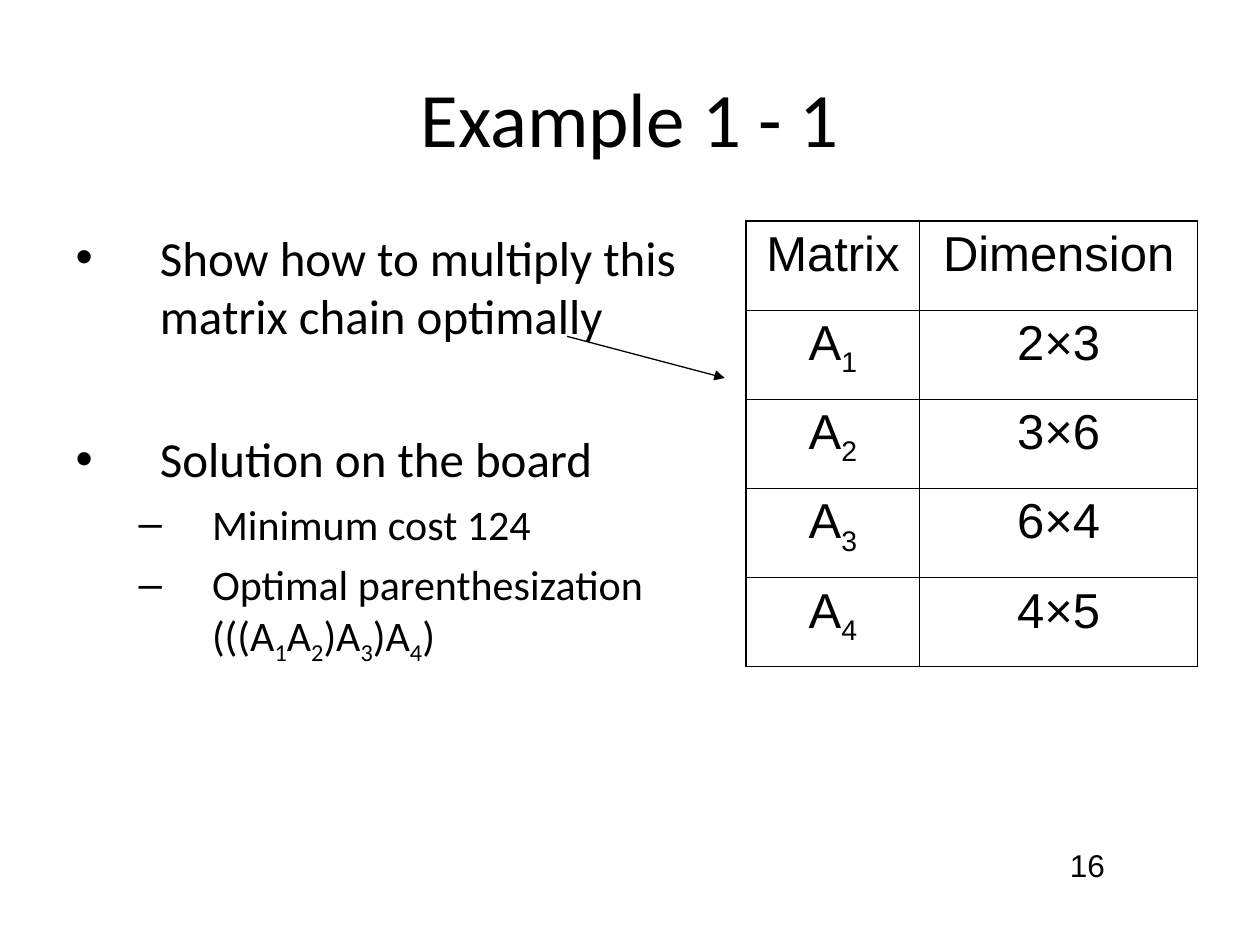
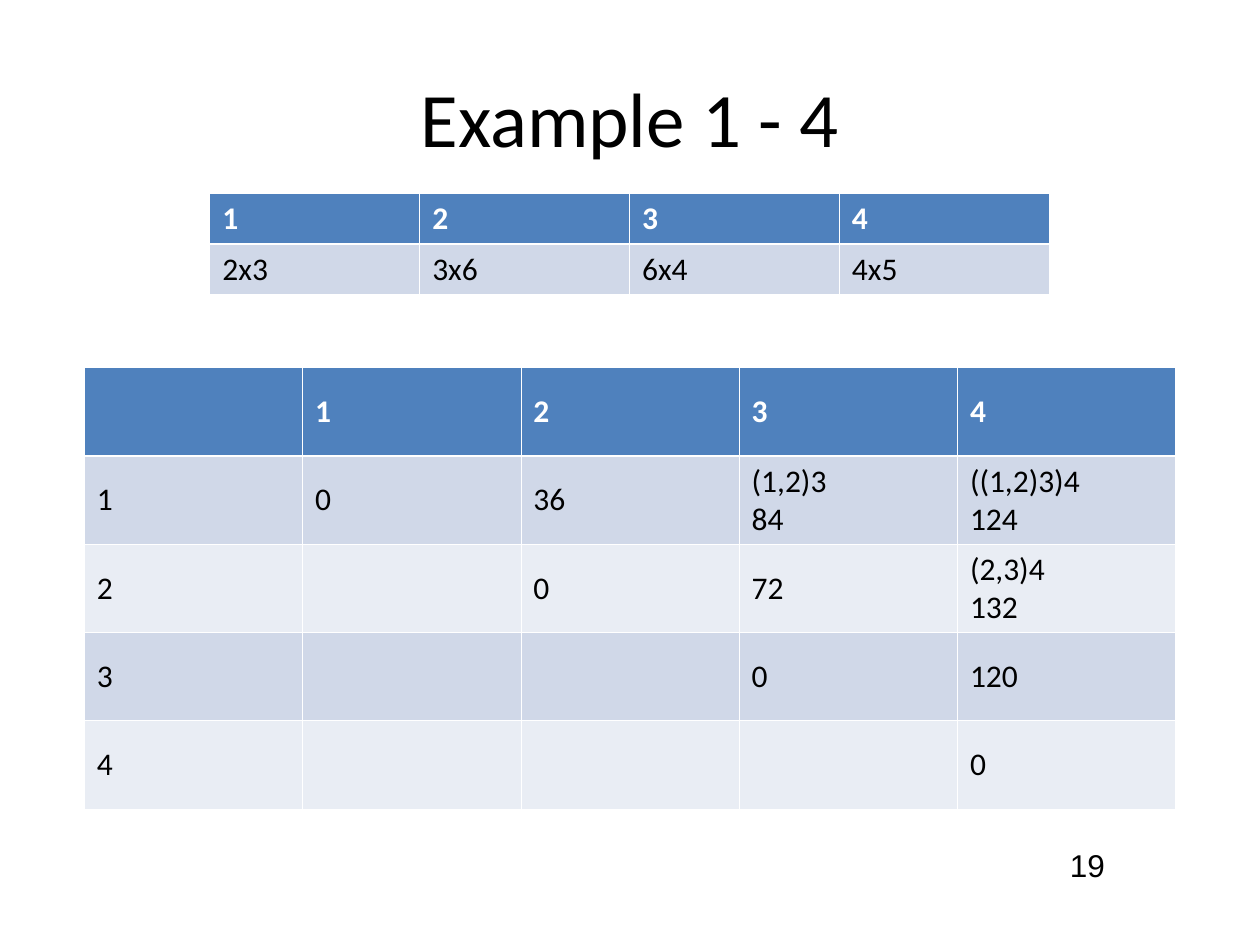
from dataclasses import dataclass
from lxml.etree import SubElement as Sub
from pptx import Presentation
from pptx.dml.color import RGBColor as Rgb
from pptx.enum.shapes import MSO_CONNECTOR as Link
from pptx.enum.text import MSO_ANCHOR as Anchor, MSO_AUTO_SIZE as Fit, PP_ALIGN as Align
from pptx.oxml.ns import qn
from pptx.util import Cm, Pt


@dataclass(frozen=True)
class Theme:
    black: Rgb = Rgb(0, 0, 0)
    white: Rgb = Rgb(255, 255, 255)
    blue: Rgb = Rgb.from_string("4F81BD")
    dark: Rgb = Rgb.from_string("D0D8E8")
    pale: Rgb = Rgb.from_string("E9EDF4")
    text: str = "Calibri"
    plain: str = "Arial"
    title: int = 44
    list: int = 28
    sub: int = 24
    small: int = 18


look = Theme()


def write(para, text, size, name=look.text, color=look.black, bold=False):
    """Add text to a paragraph; the character after each "_" is lowered."""
    head, *tail = text.split("_")
    parts = [(head, False)]
    for part in tail:
        parts += [(part[0], True), (part[1:], False)]
    for part, low in parts:
        if not part:
            continue
        run = para.add_run()
        run.text = part
        form = {"size": Pt(size), "name": name, "bold": bold}
        for key, value in form.items():
            setattr(run.font, key, value)
        run.font.color.rgb = color
        if low:
            run.font._element.set("baseline", "-25000")


def grid(slide, box, cols, rows, style):
    """Add a table with ruled cells; style holds colours, lines and text format."""
    left, top, high = box
    table = slide.shapes.add_table(len(rows), len(cols), Cm(left), Cm(top),
                                   Cm(sum(cols)), Cm(high)).table
    table.first_row = table.horz_banding = False
    for col, wide in zip(table.columns, cols):
        col.width = Cm(wide)
    for r, row in enumerate(rows):
        table.rows[r].height = Cm(high / len(rows))
        for c, text in enumerate(row):
            cell = table.cell(r, c)
            # Cell borders
            thin, edge, rule = style["lines"]
            widths = {
                "L": thin if c else edge,
                "R": edge if c == len(cols) - 1 else thin,
                "T": (edge, rule)[r] if r < 2 else thin,
                "B": thin if r else rule,
            }
            props = cell._tc.get_or_add_tcPr()
            for side, wide in widths.items():
                line = Sub(props, qn(f"a:ln{side}"), w=str(Pt(wide)))
                fill = Sub(line, qn("a:solidFill"))
                Sub(fill, qn("a:srgbClr"), val=str(style["ink"]))
            # Cell fill and text
            if style["fills"]:
                first, *bands = style["fills"]
                cell.fill.solid()
                cell.fill.fore_color.rgb = bands[(r - 1) % 2] if r else first
            else:
                cell.fill.background()
            cell.vertical_anchor = style["anchor"]
            for n, part in enumerate(text.split("\n")):
                para = cell.text_frame.paragraphs[0] if n == 0 else cell.text_frame.add_paragraph()
                para.alignment = style["align"]
                write(para, part, **style["head" if r == 0 else "body"])


deck = Presentation()
deck.slide_width, deck.slide_height = Cm(25.4), Cm(19.05)

# Titles and slide numbers
slides = []
for layout, title, page in [(1, "Example 1 - 1", "16"), (5, "Example 1 - 4", "19")]:
    slide = deck.slides.add_slide(deck.slide_layouts[layout])
    slides.append(slide)
    head = slide.shapes.title
    place = {"left": Cm(1.27), "top": Cm(0.76), "width": Cm(22.86), "height": Cm(3.18)}
    for key, value in place.items():
        setattr(head, key, value)
    head.text_frame.vertical_anchor = Anchor.MIDDLE
    head.text_frame.paragraphs[0].alignment = Align.CENTER
    write(head.text_frame.paragraphs[0], title, look.title)
    foot = slide.shapes.add_textbox(Cm(20.12), Cm(16.94), Cm(3.6), Cm(1.02)).text_frame
    foot.word_wrap = True
    foot.paragraphs[0].alignment = Align.CENTER
    write(foot.paragraphs[0], page, look.small, look.plain)

chain, costs = slides

# Bullet list: level, space before in points, text
items = [
    (0, 7, "Show how to multiply this matrix chain optimally"),
    (0, 48, "Solution on the board"),
    (1, 6, "Minimum cost 124"),
    (1, 6, "Optimal parenthesization (((A_1A_2)A_3)A_4)"),
]
# For each level: left margin, hanging indent, bullet, text size
levels = [(1.7, 1.7, "•", look.list), (2.75, 1.48, "–", look.sub)]
body = chain.placeholders[1]
place = {"left": Cm(1.27), "top": Cm(4.45), "width": Cm(13.12), "height": Cm(12.57)}
for key, value in place.items():
    setattr(body, key, value)
body.text_frame.auto_size = Fit.NONE
for n, (level, gap, text) in enumerate(items):
    para = body.text_frame.paragraphs[0] if n == 0 else body.text_frame.add_paragraph()
    left, hang, mark, size = levels[level]
    para.level, para.space_before = level, Pt(gap)
    props = para._p.get_or_add_pPr()
    props.set("marL", str(Cm(left)))
    props.set("indent", str(-Cm(hang)))
    Sub(props, qn("a:buChar"), char=mark)
    write(para, text, size)

# Matrix sizes
sizes = ["2×3", "3×6", "6×4", "4×5"]
rows = [("Matrix", "Dimension")] + [(f"A_{n}", size) for n, size in enumerate(sizes, 1)]
form = {"size": look.list, "name": look.plain}
grid(chain, (15.04, 4.45, 8.99), [3.5, 5.6], rows, {
    "ink": look.black, "lines": (0.45, 1.08, 0.45), "fills": None,
    "anchor": Anchor.TOP, "align": Align.CENTER, "head": form, "body": form,
})

# Arrow from the list to the table
arrow = chain.shapes.add_connector(Link.STRAIGHT, Cm(11.43), Cm(6.78), Cm(14.61), Cm(7.62))
arrow.line.color.rgb = look.black
arrow.line.width = Pt(0.75)
Sub(arrow.line._get_or_add_ln(), qn("a:tailEnd"), type="triangle")
Sub(arrow._element.spPr, qn("a:effectLst"))

# Dimension strip and cost table
band = {
    "ink": look.white, "lines": (0.45, 0.45, 1.47),
    "fills": (look.blue, look.dark, look.pale),
    "anchor": Anchor.MIDDLE, "align": Align.LEFT,
    "head": {"size": look.small, "color": look.white, "bold": True},
    "body": {"size": look.small},
}
heads = ["1", "2", "3", "4"]
grid(costs, (4.23, 3.89, 2.05), [4.23] * 4,
     [heads, [size.replace("×", "x") for size in sizes]], band)
grid(costs, (1.7, 7.41, 8.9), [4.4] * 5, [
    ["", *heads],
    ["1", "0", "36", "(1,2)3\n84", "((1,2)3)4\n124"],
    ["2", "", "0", "72", "(2,3)4\n132"],
    ["3", "", "", "0", "120"],
    ["4", "", "", "", "0"],
], band)

deck.save("out.pptx")
